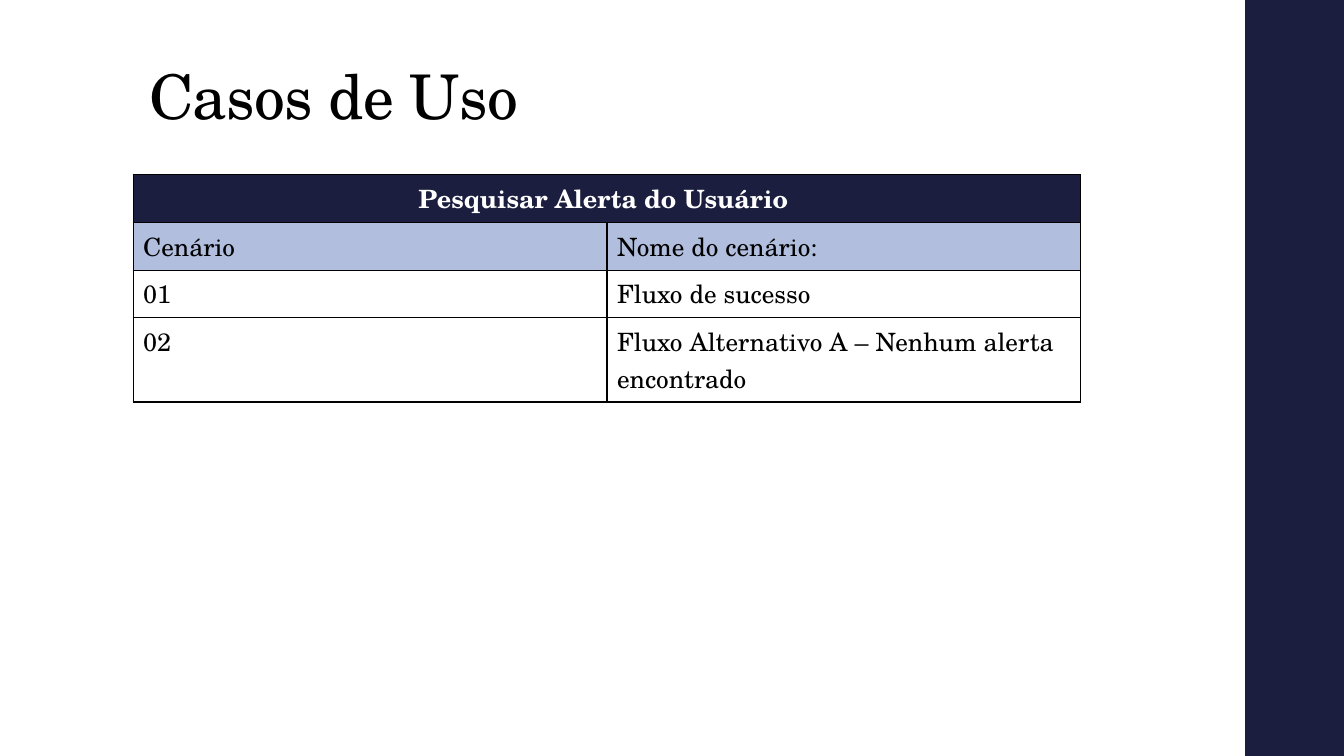
from lxml import etree
from pptx import Presentation
from pptx.dml.color import RGBColor
from pptx.enum.shapes import MSO_SHAPE
from pptx.enum.text import MSO_ANCHOR, PP_ALIGN
from pptx.oxml.ns import qn
from pptx.util import Inches, Pt

RECTANGLE = MSO_SHAPE.RECTANGLE
BOTTOM = MSO_ANCHOR.BOTTOM
CENTER, LEFT = PP_ALIGN.CENTER, PP_ALIGN.LEFT

FONT = "TeX Gyre Schola"
NAVY, BLUE, WHITE, BLACK = "1B1E3E", "B1BEDD", "FFFFFF", "000000"

TITLE = "Casos de Uso"
TABLE_TITLE = "Pesquisar Alerta do Usuário "
SCENARIOS = [
    ("Cenário", "Nome do cenário:"),
    ("01", "Fluxo de sucesso"),
    ("02", "Fluxo Alternativo A – Nenhum alerta encontrado"),
]
ROW_HEIGHTS = [0.48, 0.47, 0.47, 0.84]
COLUMN_WIDTH = 4.7


def color(value):
    return RGBColor.from_string(value)


def format_text(paragraph, size, text_color, bold=False):
    for run in paragraph.runs:
        run.font.name = FONT
        run.font.size = Pt(size)
        run.font.bold = bold
        run.font.color.rgb = color(text_color)


def add_borders(cell):
    properties = cell._tc.get_or_add_tcPr()
    for position, side in enumerate(("a:lnL", "a:lnR", "a:lnT", "a:lnB")):
        line = etree.Element(qn(side), w=str(Pt(1)))
        fill = etree.SubElement(line, qn("a:solidFill"))
        etree.SubElement(fill, qn("a:srgbClr"), val=BLACK)
        properties.insert(position, line)


def fill_cell(cell, text, fill, text_color=BLACK, bold=False, alignment=LEFT):
    cell.text_frame.text = text
    paragraph = cell.text_frame.paragraphs[0]
    paragraph.alignment = alignment
    format_text(paragraph, 18, text_color, bold)
    cell.fill.solid()
    cell.fill.fore_color.rgb = color(fill)


def add_side_band(slide):
    band = slide.shapes.add_shape(RECTANGLE, Inches(12.35), 0, Inches(0.98), Inches(7.5))
    band.shadow.inherit = False
    band.fill.solid()
    band.fill.fore_color.rgb = color(NAVY)
    band.line.fill.background()


def add_title(slide):
    box = slide.shapes.add_textbox(Inches(1.38), Inches(0.4), Inches(10.6), Inches(0.97))
    frame = box.text_frame
    frame.word_wrap = True
    frame.vertical_anchor = BOTTOM
    frame.text = TITLE
    paragraph = frame.paragraphs[0]
    paragraph.line_spacing = 0.9
    format_text(paragraph, 44, BLACK)
    paragraph.runs[0].font._element.set("spc", "-50")


def add_scenario_table(slide):
    table = slide.shapes.add_table(
        len(ROW_HEIGHTS), 2, Inches(1.32), Inches(1.73),
        Inches(2 * COLUMN_WIDTH), Inches(sum(ROW_HEIGHTS)),
    ).table
    table.horz_banding = False
    for column in table.columns:
        column.width = Inches(COLUMN_WIDTH)
    for row, height in zip(table.rows, ROW_HEIGHTS):
        row.height = Inches(height)
    table.cell(0, 0).merge(table.cell(0, 1))
    fill_cell(table.cell(0, 0), TABLE_TITLE, NAVY, WHITE, True, CENTER)
    for row_index, scenario in enumerate(SCENARIOS, start=1):
        fill = BLUE if row_index == 1 else WHITE
        for column_index, text in enumerate(scenario):
            fill_cell(table.cell(row_index, column_index), text, fill)
    for cell in table.iter_cells():
        add_borders(cell)


def main():
    presentation = Presentation()
    presentation.slide_width = Inches(13.33)
    presentation.slide_height = Inches(7.5)
    slide = presentation.slides.add_slide(presentation.slide_layouts[6])
    add_side_band(slide)
    add_title(slide)
    add_scenario_table(slide)
    presentation.save("out.pptx")


if __name__ == "__main__":
    main()
